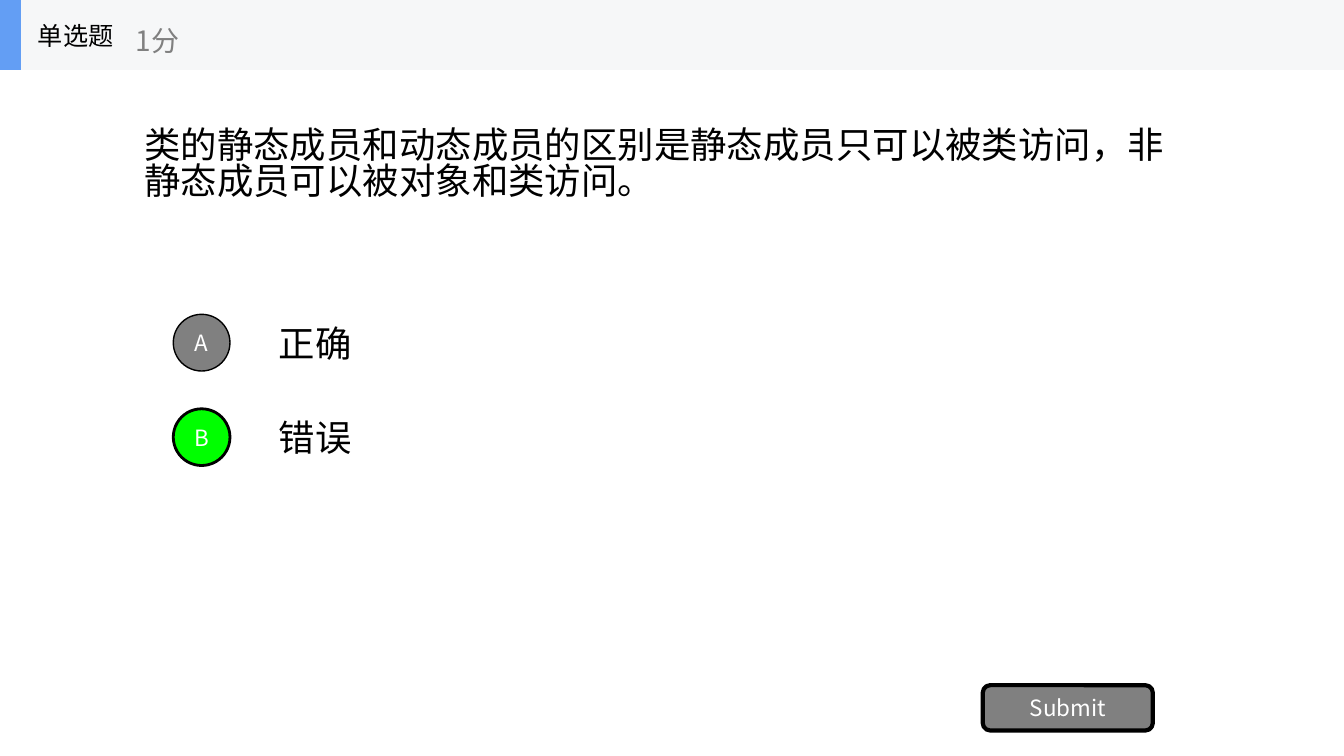
import pptx
import pptx.dml.color
import pptx.enum.shapes
import pptx.enum.text
import pptx.oxml
import pptx.oxml.ns
import pptx.util

Pt = pptx.util.Pt
FONT = "Noto Sans CJK SC"
SHAPES = pptx.enum.shapes.MSO_SHAPE
ALIGN = pptx.enum.text.PP_ALIGN


def color(value):
    return pptx.dml.color.RGBColor.from_string(value)


def write(shape, text, size, text_color, alignment=ALIGN.LEFT):
    frame = shape.text_frame
    frame.word_wrap = True
    frame.vertical_anchor = pptx.enum.text.MSO_ANCHOR.MIDDLE
    paragraph = frame.paragraphs[0]
    paragraph.text = text
    paragraph.alignment = alignment
    paragraph.font.name = FONT
    paragraph.font.size = Pt(size)
    paragraph.font.color.rgb = color(text_color)
    properties = paragraph._p.pPr.find(pptx.oxml.ns.qn("a:defRPr"))
    east_asian = pptx.oxml.parse_xml(
        f'<a:ea {pptx.oxml.ns.nsdecls("a")} typeface="{FONT}"/>')
    properties.find(pptx.oxml.ns.qn("a:latin")).addnext(east_asian)
    return paragraph


presentation = pptx.Presentation()
presentation.slide_width = Pt(960)
presentation.slide_height = Pt(540)
slide = presentation.slides.add_slide(presentation.slide_layouts[6])

question = slide.shapes.add_textbox(Pt(96), Pt(33.75), Pt(768), Pt(168.75))
paragraph = write(question, "类的静态成员和动态成员的区别是静态成员只可以被类访问，非静态成员可以被对象和类访问。", 26, "000000")
paragraph.line_spacing = 0.82

answers = ["正确", "错误"]
for row, answer in enumerate(answers):
    box = slide.shapes.add_textbox(Pt(192), Pt(219.4 + 67.5 * row), Pt(672), Pt(50.6))
    write(box, answer, 26, "000000")

buttons = [
    ("A", SHAPES.OVAL, 123.75, 224.5, 40.5, 40.5, "808080", 1),
    ("B", SHAPES.OVAL, 123.75, 292, 40.5, 40.5, "00FF00", 2),
    ("Submit", SHAPES.ROUNDED_RECTANGLE, 702, 489.4, 121.5, 32.4, "808080", 3),
]
for label, kind, left, top, width, height, fill, line_width in buttons:
    button = slide.shapes.add_shape(kind, Pt(left), Pt(top), Pt(width), Pt(height))
    button.shadow.inherit = False
    button.fill.solid()
    button.fill.fore_color.rgb = color(fill)
    button.line.color.rgb = color("000000")
    button.line.width = Pt(line_width)
    frame = button.text_frame
    frame.margin_left = frame.margin_right = frame.margin_top = frame.margin_bottom = 0
    write(button, label, 16, "FFFFFF", ALIGN.CENTER)

header = slide.shapes.add_group_shape()
for width, fill in [(960, "F6F7F8"), (15, "639EF4")]:
    bar = header.shapes.add_shape(SHAPES.RECTANGLE, 0, 0, Pt(width), Pt(50))
    bar.shadow.inherit = False
    bar.fill.solid()
    bar.fill.fore_color.rgb = color(fill)
    bar.line.fill.background()

question_type = header.shapes.add_textbox(Pt(20), 0, Pt(150), Pt(50))
write(question_type, "单选题", 18, "000000")
score = header.shapes.add_textbox(Pt(90), Pt(8.75), Pt(180), Pt(40))
write(score, "1分", 20, "808080")

presentation.save("out.pptx")
